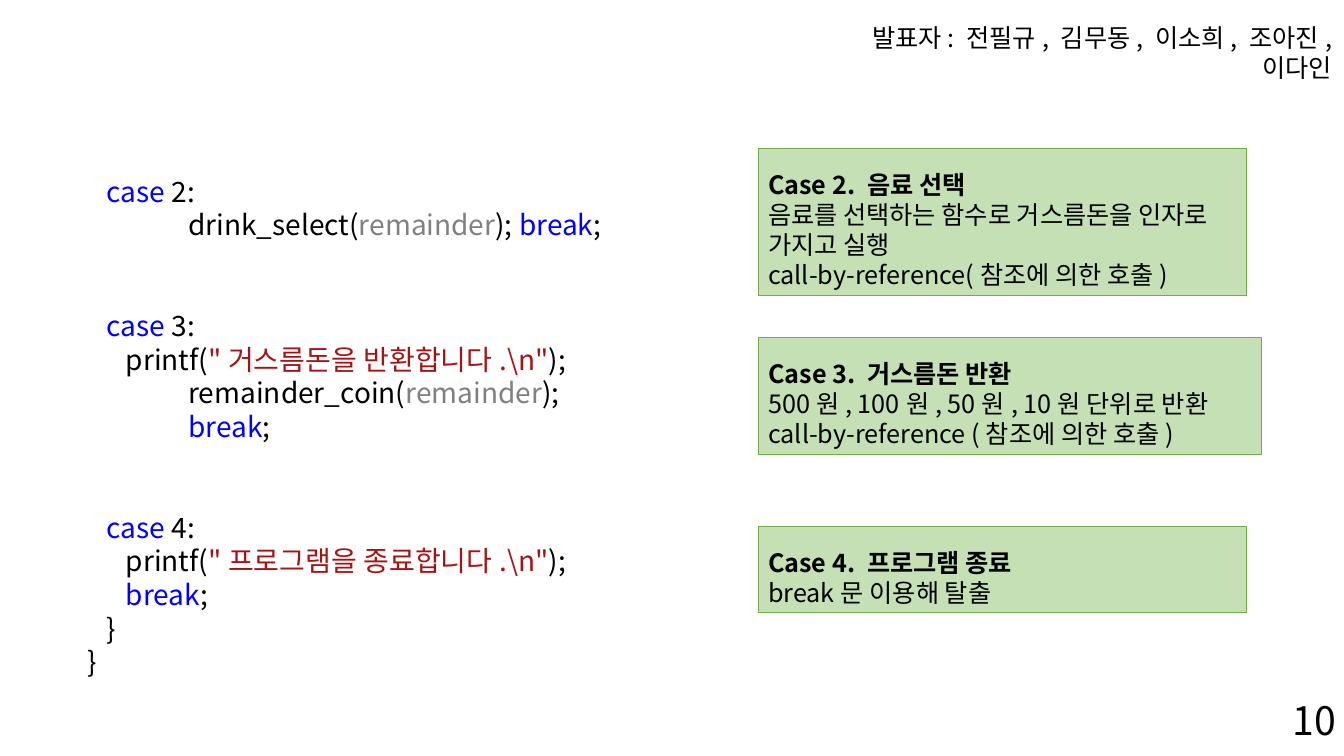
from pptx import Presentation
from pptx.dml.color import RGBColor
from pptx.enum import shapes, text
from pptx.oxml import xmlchemy
from pptx.util import Inches, Pt
from lxml import etree

FONT = "Noto Sans CJK KR"
COLORS = {
    "plain": "000000", "keyword": "0000FF", "argument": "808080",
    "string": "A31515", "note": "C5E0B4", "border": "70AD47",
}
CODE_BOX = (0.77, 1.68, 10.42, 5.15)
CODE_SIZE, CASE_GAP = 20, 48
CODE = [
    (0.19, 0, [("case", "keyword"), (" 2:", "plain")]),
    (1, 0, [("drink_select(", "plain"), ("remainder", "argument"), ("); ", "plain"),
            ("break", "keyword"), (";", "plain")]),
    (0.19, CASE_GAP, [("case", "keyword"), (" 3:", "plain")]),
    (0.38, 0, [("printf(", "plain"), ("\"거스름돈을 반환합니다.\\n\"", "string"), (");", "plain")]),
    (1, 0, [("remainder_coin(", "plain"), ("remainder", "argument"), (");", "plain")]),
    (1, 0, [("break", "keyword"), (";", "plain")]),
    (0.19, CASE_GAP, [("case", "keyword"), (" 4:", "plain")]),
    (0.38, 0, [("printf(", "plain"), ("\"프로그램을 종료합니다.\\n\"", "string"), (");", "plain")]),
    (0.38, 0, [("break", "keyword"), (";", "plain")]),
    (0.19, 0, [("}", "plain")]),
    (0, 0, [("}", "plain")]),
]
NOTE_LEFT, NOTE_SIZE = 7.52, 18
NOTES = [
    (1.47, 4.84, 1.46, "Case 2. 음료 선택",
     ["음료를 선택하는 함수로 거스름돈을 인자로 가지고 실행", "call-by-reference(참조에 의한 호출)"]),
    (3.35, 4.99, 1.16, "Case 3. 거스름돈 반환",
     ["500원, 100원, 50원, 10원 단위로 반환", "call-by-reference (참조에 의한 호출)"]),
    (5.22, 4.84, 0.86, "Case 4. 프로그램 종료", ["break문 이용해 탈출"]),
]
LABELS = [
    ((7.84, 0.17, 5.47, 0.4), "발표자: 전필규, 김무동, 이소희, 조아진, 이다인", 18, text.PP_ALIGN.RIGHT, True),
    ((12.72, 6.86, 0.63, 0.57), "10", 28, text.PP_ALIGN.LEFT, False),
]


def apply(target, **formats):
    for key, value in formats.items():
        setattr(target, key, value)


def add_line(frame, pieces, size, bold=False, indent=0, **formats):
    line = frame.paragraphs[0]
    if line.runs:
        line = frame.add_paragraph()
    apply(line, **{"alignment": text.PP_ALIGN.LEFT, **formats})
    if indent:
        line._p.get_or_add_pPr().set("marL", str(Inches(indent)))
    for words, color in pieces:
        run = line.add_run()
        apply(run, text=words)
        apply(run.font, name=FONT, size=Pt(size), bold=bold)
        run.font.color.rgb = RGBColor.from_string(COLORS[color])
        latin = run.font._element.find("{*}latin")
        east_asian = etree.SubElement(run.font._element, latin.tag.replace("latin", "ea"))
        east_asian.set("typeface", FONT)


def add_box(slide, place, wrap=True):
    frame = slide.shapes.add_textbox(*map(Inches, place)).text_frame
    apply(frame, word_wrap=wrap, auto_size=text.MSO_AUTO_SIZE.SHAPE_TO_FIT_TEXT)
    return frame


def add_note(slide, top, width, height, heading, details):
    note = slide.shapes.add_shape(
        shapes.MSO_SHAPE.RECTANGLE, *map(Inches, (NOTE_LEFT, top, width, height)))
    note.shadow.inherit = False
    note.fill.solid()
    note.fill.fore_color.rgb = RGBColor.from_string(COLORS["note"])
    note.line.color.rgb = RGBColor.from_string(COLORS["border"])
    note.line.width = Pt(0.5)
    apply(note.text_frame, word_wrap=True, vertical_anchor=text.MSO_ANCHOR.MIDDLE,
          auto_size=text.MSO_AUTO_SIZE.SHAPE_TO_FIT_TEXT)
    add_line(note.text_frame, [(heading, "plain")], NOTE_SIZE, bold=True, line_spacing=1.5)
    for detail in details:
        add_line(note.text_frame, [(detail, "plain")], NOTE_SIZE)


def main():
    deck = Presentation()
    apply(deck, slide_width=Inches(13.33), slide_height=Inches(7.5))
    slide = deck.slides.add_slide(deck.slide_layouts[6])
    code = add_box(slide, CODE_BOX)
    for indent, gap, pieces in CODE:
        add_line(code, pieces, CODE_SIZE, indent=indent, space_before=Pt(gap))
    for note in NOTES:
        add_note(slide, *note)
    for place, words, size, alignment, wrap in LABELS:
        add_line(add_box(slide, place, wrap), [(words, "plain")], size, alignment=alignment)
    deck.save("out.pptx")


if __name__ == "__main__":
    main()
